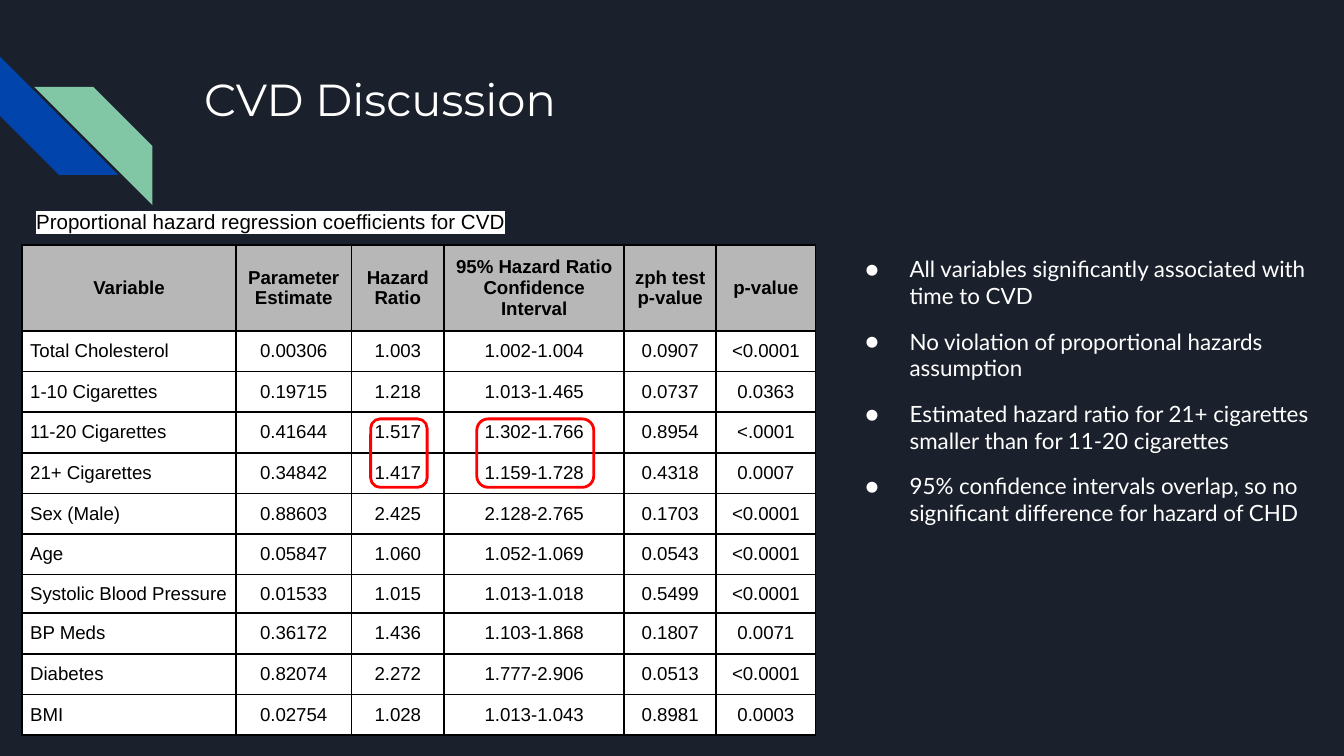
from dataclasses import dataclass

from lxml import etree
from pptx import Presentation
from pptx.dml.color import RGBColor
from pptx.enum.shapes import MSO_SHAPE
from pptx.enum.text import MSO_ANCHOR, PP_ALIGN
from pptx.oxml.ns import qn
from pptx.util import Inches, Pt

STRIPE, ROUNDED = MSO_SHAPE.DIAGONAL_STRIPE, MSO_SHAPE.ROUNDED_RECTANGLE
LEFT, CENTER, MIDDLE = PP_ALIGN.LEFT, PP_ALIGN.CENTER, MSO_ANCHOR.MIDDLE
SLIDE_WIDTH = Inches(10)
SLIDE_HEIGHT = SLIDE_WIDTH * 9 // 16
UNIT = SLIDE_WIDTH / 100  # the slide is a grid of 100 square columns


@dataclass(frozen=True)
class Theme:
    background: str = "1B212C"
    blue: str = "0145AC"
    green: str = "82C7A5"
    white: str = "FFFFFF"
    black: str = "000000"
    header: str = "B7B7B7"
    mark: str = "FF0000"
    title_font: str = "Montserrat"
    body_font: str = "Lato"
    table_font: str = "Arial"
    title_size: int = 24
    body_size: int = 12
    caption_size: int = 11
    table_size: int = 10


@dataclass(frozen=True)
class Box:
    """A rectangle in grid columns."""
    left: float
    top: float
    width: float
    height: float

    def emu(self):
        return [grid(n) for n in (self.left, self.top, self.width, self.height)]


THEME = Theme()
COLUMN_WIDTHS = [15.9, 8.6, 6.9, 13.4, 6.85, 7.4]
HEADER_HEIGHT, ROW_HEIGHT, TIGHT_HEIGHT = 6.4, 3.02, 2.8
TIGHT_ROW = 7
MARKED_ROWS = (3, 4)
MARK_WIDTHS = {2: 4.2, 3: 8.7}  # table column: width of its mark

HEADERS = ["Variable", "Parameter Estimate", "Hazard Ratio",
           "95% Hazard Ratio Confidence Interval", "zph test p-value", "p-value"]
ROWS = [
    ["Total Cholesterol", "0.00306", "1.003", "1.002-1.004", "0.0907", "<0.0001"],
    ["1-10 Cigarettes", "0.19715", "1.218", "1.013-1.465", "0.0737", "0.0363"],
    ["11-20 Cigarettes", "0.41644", "1.517", "1.302-1.766", "0.8954", "<.0001"],
    ["21+ Cigarettes", "0.34842", "1.417", "1.159-1.728", "0.4318", "0.0007"],
    ["Sex (Male)", "0.88603", "2.425", "2.128-2.765", "0.1703", "<0.0001"],
    ["Age", "0.05847", "1.060", "1.052-1.069", "0.0543", "<0.0001"],
    ["Systolic Blood Pressure", "0.01533", "1.015", "1.013-1.018", "0.5499", "<0.0001"],
    ["BP Meds", "0.36172", "1.436", "1.103-1.868", "0.1807", "0.0071"],
    ["Diabetes", "0.82074", "2.272", "1.777-2.906", "0.0513", "<0.0001"],
    ["BMI", "0.02754", "1.028", "1.013-1.043", "0.8981", "0.0003"],
]
FINDINGS = [
    "All variables significantly associated with time to CVD",
    "No violation of proportional hazards assumption",
    "Estimated hazard ratio for 21+ cigarettes smaller than for 11-20 cigarettes",
    "95% confidence intervals overlap, so no significant difference for hazard of CHD",
]


def grid(columns):
    return round(columns * UNIT)


def rgb(color):
    return RGBColor.from_string(color)


def add_color(parent, tag, color):
    element = etree.SubElement(parent, qn(tag))
    etree.SubElement(element, qn("a:srgbClr"), val=color)
    return element


def style_runs(paragraph, font, size, color, bold=False):
    for run in paragraph.runs:
        run.font.name, run.font.size, run.font.bold = font, Pt(size), bold
        run.font.color.rgb = rgb(color)


def add_text_frame(slide, box):
    text_frame = slide.shapes.add_textbox(*box.emu()).text_frame
    text_frame.word_wrap = True
    text_frame.margin_left = text_frame.margin_right = grid(1)
    text_frame.margin_top = text_frame.margin_bottom = grid(1)
    return text_frame


def add_stripes(slide, box):
    """Two diagonal stripes in opposite corners of the box."""
    side = 8.8
    group = slide.shapes.add_group_shape()
    blue = group.shapes.add_shape(STRIPE, *Box(box.left, box.top, side, side).emu())
    blue.rotation = 270
    green = group.shapes.add_shape(STRIPE, *Box(
        box.left + box.width - side, box.top + box.height - side, side, side).emu())
    green.element.spPr.find(qn("a:xfrm")).set("flipH", "1")
    for stripe, color in ((blue, THEME.blue), (green, THEME.green)):
        stripe.shadow.inherit = False
        stripe.fill.solid()
        stripe.fill.fore_color.rgb = rgb(color)
        stripe.line.fill.background()


def add_title(slide, box):
    text_frame = add_text_frame(slide, box)
    text_frame.text = "CVD Discussion"
    style_runs(text_frame.paragraphs[0], THEME.title_font, THEME.title_size, THEME.white)


def add_caption(slide, box):
    text_frame = add_text_frame(slide, box)
    text_frame.text = "Proportional hazard regression coefficients for CVD"
    paragraph = text_frame.paragraphs[0]
    paragraph.line_spacing = 1.15
    style_runs(paragraph, THEME.table_font, THEME.caption_size, THEME.black)
    properties = paragraph.runs[0].font._element
    highlight = add_color(properties, "a:highlight", THEME.white)
    properties.find(qn("a:solidFill")).addnext(highlight)


def add_findings(slide, box):
    text_frame = add_text_frame(slide, box)
    text_frame.text = "\n".join(FINDINGS)
    for index, paragraph in enumerate(text_frame.paragraphs):
        properties = paragraph._p.get_or_add_pPr()
        properties.set("marL", str(grid(5)))
        properties.set("indent", str(-grid(3.3)))
        add_color(properties, "a:buClr", THEME.white)
        etree.SubElement(properties, qn("a:buSzPts"), val=str(THEME.body_size * 100))
        etree.SubElement(properties, qn("a:buFont"), typeface=THEME.body_font)
        etree.SubElement(properties, qn("a:buChar"), char="●")
        if index:
            paragraph.space_before = Pt(10)
        style_runs(paragraph, THEME.body_font, THEME.body_size, THEME.white)
    text_frame.paragraphs[-1].space_after = Pt(10)


def add_borders(cell):
    properties = cell._tc.get_or_add_tcPr()
    for index, side in enumerate(("a:lnL", "a:lnR", "a:lnT", "a:lnB")):
        line = etree.Element(qn(side), w=str(Pt(1)))
        add_color(line, "a:solidFill", THEME.black)
        properties.insert(index, line)


def fill_cell(cell, text, is_header, alignment):
    cell.text = text
    cell.vertical_anchor = MIDDLE
    margin = grid(0.7 if is_header else 0.6)
    cell.margin_left = cell.margin_right = cell.margin_top = cell.margin_bottom = margin
    cell.fill.solid()
    cell.fill.fore_color.rgb = rgb(THEME.header if is_header else THEME.white)
    paragraph = cell.text_frame.paragraphs[0]
    paragraph.alignment = alignment
    style_runs(paragraph, THEME.table_font, THEME.table_size, THEME.black, is_header)
    add_borders(cell)


def add_coefficients(slide, box):
    """Table of coefficients, with marks around the compared values."""
    rows = [HEADERS] + ROWS
    heights = [HEADER_HEIGHT] + [ROW_HEIGHT] * len(ROWS)
    heights[TIGHT_ROW] = TIGHT_HEIGHT
    table = slide.shapes.add_table(len(rows), len(HEADERS), *box.emu()).table
    table.first_row = table.horz_banding = False
    for column, width in zip(table.columns, COLUMN_WIDTHS):
        column.width = grid(width)
    for row_index, (row, height) in enumerate(zip(rows, heights)):
        table.rows[row_index].height = grid(height)
        for column_index, text in enumerate(row):
            is_header = row_index == 0
            alignment = CENTER if is_header or column_index else LEFT
            fill_cell(table.cell(row_index, column_index), text, is_header, alignment)

    first, last = MARKED_ROWS
    top = box.top + sum(heights[:first]) + 0.5
    height = sum(heights[first:last + 1]) - 0.95
    for column, width in MARK_WIDTHS.items():
        center = box.left + sum(COLUMN_WIDTHS[:column]) + COLUMN_WIDTHS[column] / 2
        mark = slide.shapes.add_shape(
            ROUNDED, *Box(center - width / 2 + 0.08, top, width, height).emu())
        mark.shadow.inherit = False
        mark.fill.background()
        mark.line.color.rgb = rgb(THEME.mark)
        mark.line.width = Pt(1.5)


def main():
    presentation = Presentation()
    presentation.slide_width, presentation.slide_height = SLIDE_WIDTH, SLIDE_HEIGHT
    slide = presentation.slides.add_slide(presentation.slide_layouts[6])
    slide.background.fill.solid()
    slide.background.fill.fore_color.rgb = rgb(THEME.background)
    add_stripes(slide, Box(0, 4.22, 11.35, 11.05))
    add_title(slide, Box(14.2, 4.35, 77, 10))
    add_caption(slide, Box(1.7, 14.3, 44.2, 3.9))
    add_findings(slide, Box(61.7, 18, 37.4, 22.4))
    add_coefficients(slide, Box(1.65, 18.23, sum(COLUMN_WIDTHS), 36.38))
    presentation.save("out.pptx")


if __name__ == "__main__":
    main()
